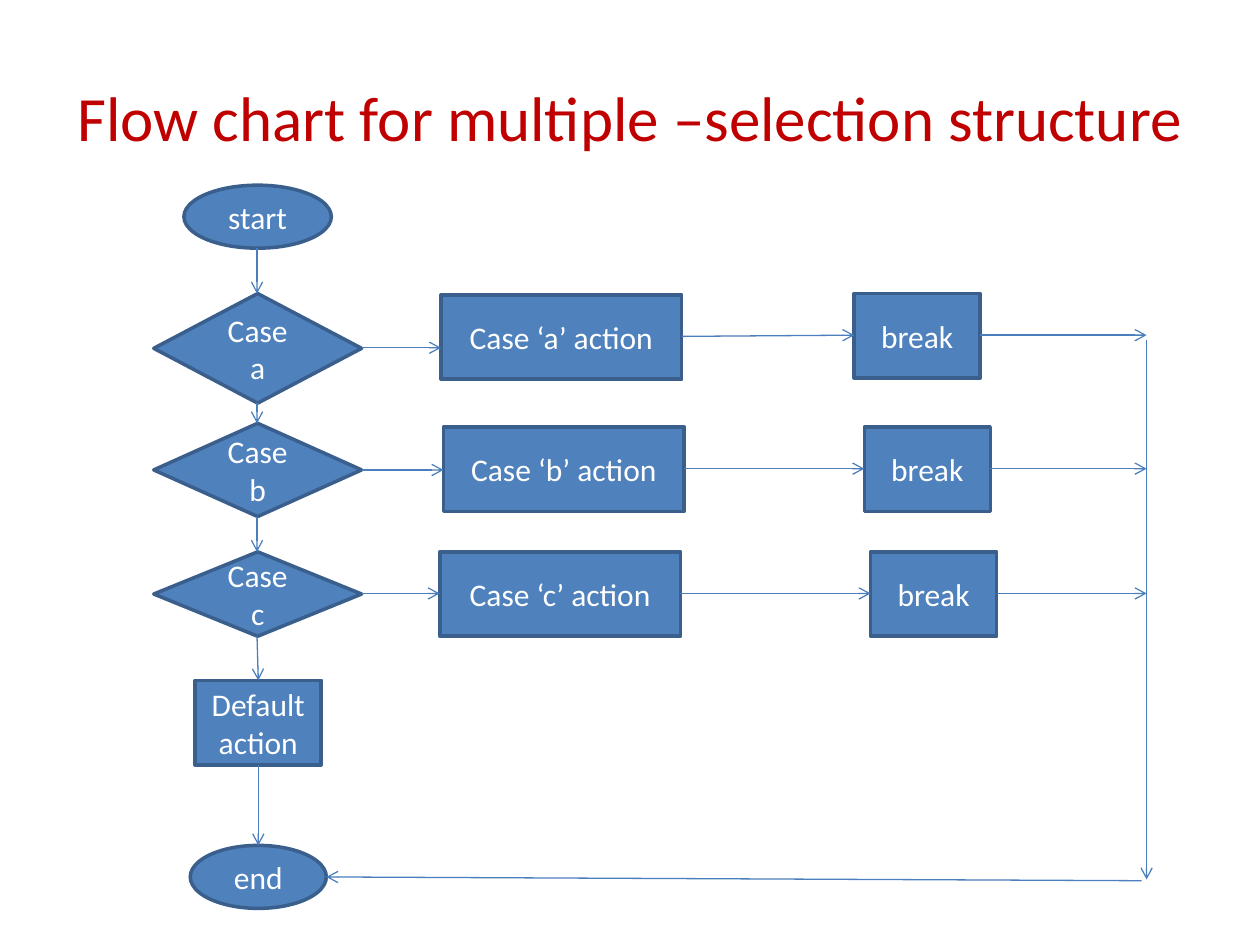
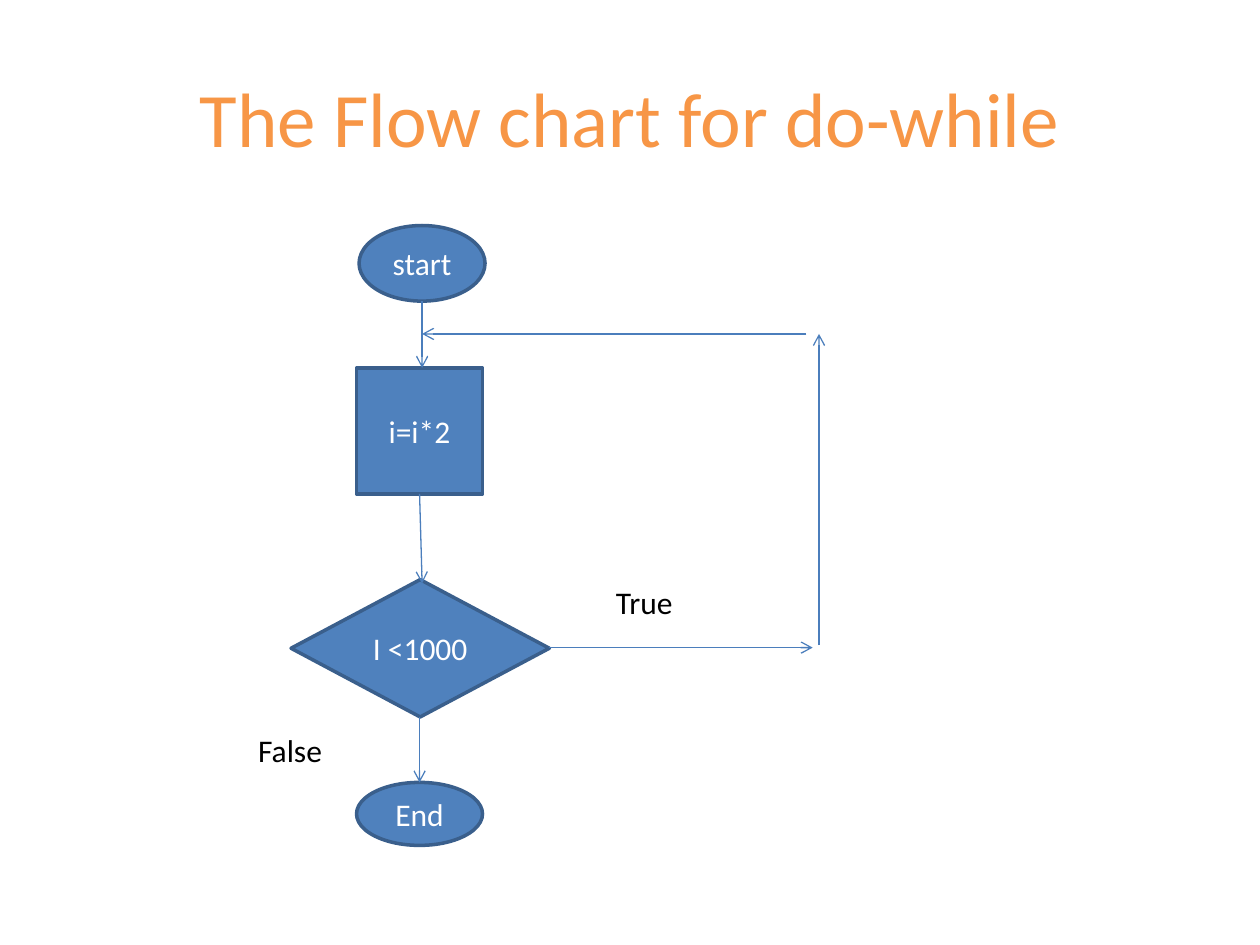
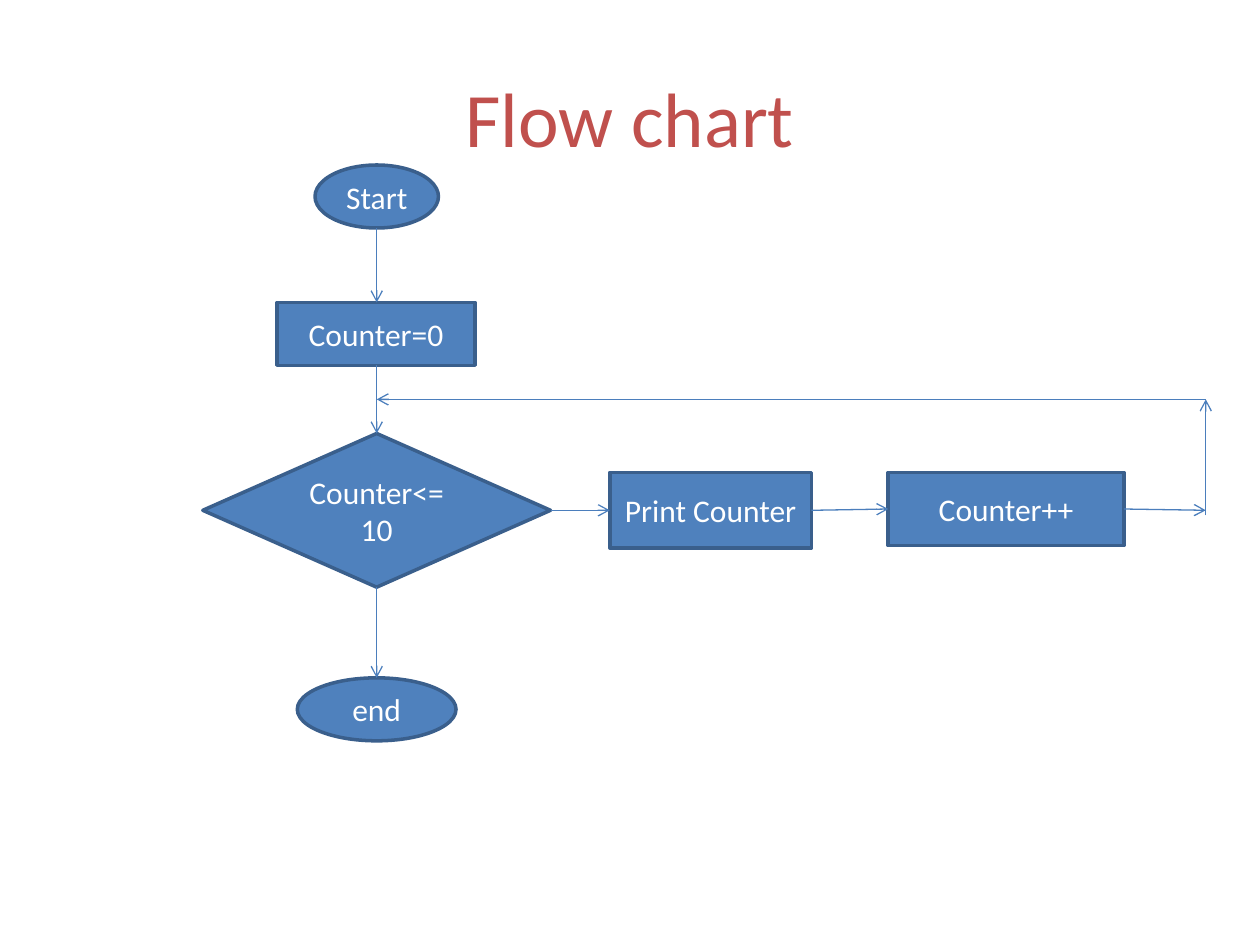
from dataclasses import dataclass

from lxml import etree
from pptx import Presentation
from pptx.dml.color import RGBColor
from pptx.enum.shapes import MSO_CONNECTOR, MSO_SHAPE
from pptx.enum.text import MSO_ANCHOR, PP_ALIGN
from pptx.oxml.ns import qn
from pptx.util import Pt

PX = 9144
FONT = "Calibri"

RED = RGBColor(0xC0, 0x00, 0x00)
ORANGE = RGBColor(0xF7, 0x96, 0x46)
BRICK = RGBColor(0xC0, 0x50, 0x4D)
BLUE = RGBColor(0x4F, 0x81, 0xBD)
OUTLINE = RGBColor(0x3A, 0x5F, 0x8C)
ARROW = RGBColor(0x4B, 0x7E, 0xBC)
WHITE = RGBColor(0xFF, 0xFF, 0xFF)
BLACK = RGBColor(0x00, 0x00, 0x00)

STRAIGHT = MSO_CONNECTOR.STRAIGHT
DECISION = MSO_SHAPE.FLOWCHART_DECISION
PROCESS = MSO_SHAPE.FLOWCHART_PROCESS
TERMINAL = MSO_SHAPE.FLOWCHART_CONNECTOR
OVAL = MSO_SHAPE.OVAL
DIAMOND = MSO_SHAPE.DIAMOND
RECTANGLE = MSO_SHAPE.RECTANGLE
MIDDLE = MSO_ANCHOR.MIDDLE
TOP = MSO_ANCHOR.TOP
CENTER = PP_ALIGN.CENTER
LEFT = PP_ALIGN.LEFT


@dataclass
class Box:
    x: int
    y: int
    width: int
    height: int

    def inside(self, x, y, width, height):
        return Box(self.x + x, self.y + y, width, height)

    def point(self, x, y):
        return self.x + x, self.y + y

    def emu(self):
        return [side * PX for side in (self.x, self.y, self.width, self.height)]

    @property
    def top(self):
        return self.point(self.width // 2, 0)

    @property
    def bottom(self):
        return self.point(self.width // 2, self.height)

    @property
    def left(self):
        return self.point(0, self.height // 2)

    @property
    def right(self):
        return self.point(self.width, self.height // 2)


TITLE_BOX = Box(50, 30, 900, 125)


def apply(target, formats):
    for name, value in formats.items():
        setattr(target, name, value)


def write(shape, text, size, color, align=CENTER, anchor=MIDDLE, wrap=True):
    frame = shape.text_frame
    apply(frame, {"word_wrap": wrap, "vertical_anchor": anchor})
    paragraph = frame.paragraphs[0]
    paragraph.alignment = align
    run = paragraph.add_run()
    run.text = text
    apply(run.font, {"name": FONT, "size": Pt(size)})
    run.font.color.rgb = color


def add_title(slide, box, text, size, color):
    write(slide.shapes.add_textbox(*box.emu()), text, size, color)


def add_label(slide, box, text):
    label = slide.shapes.add_textbox(*box.emu())
    write(label, text, 18, BLACK, LEFT, TOP, False)


def add_step(slide, box, outline, text):
    step = slide.shapes.add_shape(outline, *box.emu())
    step.shadow.inherit = False
    step.fill.solid()
    step.fill.fore_color.rgb = BLUE
    step.line.color.rgb = OUTLINE
    step.line.width = Pt(2)
    write(step, text, 18, WHITE)
    return box


def add_arrow(slide, start, end):
    ends = [place * PX for place in (*start, *end)]
    arrow = slide.shapes.add_connector(STRAIGHT, *ends)
    arrow.line.color.rgb = ARROW
    arrow.line.width = Pt(0.75)
    properties = arrow._element.spPr
    etree.SubElement(properties.find(qn("a:ln")), qn("a:tailEnd"), type="arrow")
    etree.SubElement(properties, qn("a:effectLst"))


def add_case(slide, box, letter, test_height, action_at, break_at, rail):
    test = add_step(slide, box.inside(0, 0, 165, test_height), DECISION, f"Case {letter}")
    action = add_step(slide, box.inside(*action_at, 191, 67), PROCESS,
                      f"Case ‘{letter}’ action")
    leave = add_step(slide, box.inside(*break_at, 100, 67), PROCESS, "break")
    add_arrow(slide, test.right, (action.x, test.right[1]))
    add_arrow(slide, action.right, leave.left)
    add_arrow(slide, leave.right, (rail, leave.right[1]))
    return test


def draw_switch(slide, box):
    cases = [
        ("a", 86, 87, (228, 1), (556, 0)),
        ("b", 189, 74, (230, 3), (564, 3)),
        ("c", 291, 67, (227, 0), (569, 0)),
    ]
    spine = [add_step(slide, box.inside(24, 0, 117, 50), TERMINAL, "start")]
    for letter, top, height, action_at, break_at in cases:
        row = box.inside(0, top, box.width, height)
        spine.append(add_case(slide, row, letter, height, action_at, break_at,
                              box.x + box.width))
    spine.append(add_step(slide, box.inside(33, 393, 100, 67), PROCESS, "Default action"))
    end = add_step(slide, box.inside(29, 524, 108, 50), TERMINAL, "end")
    spine.append(end)
    for upper, lower in zip(spine, spine[1:]):
        add_arrow(slide, upper.bottom, lower.top)
    add_arrow(slide, box.point(box.width, 123), box.point(box.width, 551))
    add_arrow(slide, box.point(box.width - 4, 552), end.right)


def draw_do_while(slide, box):
    start = add_step(slide, box.inside(90, 0, 100, 60), OVAL, "start")
    test = add_step(slide, box.inside(36, 281, 205, 109), DIAMOND, "I <1000")
    body = add_step(slide, box.inside(88, 113, 100, 100), RECTANGLE, "i=i*2")
    end = add_step(slide, box.inside(88, 442, 100, 50), OVAL, "End")
    add_label(slide, box.inside(284, 279, 66, 40), "True")
    add_label(slide, box.inside(0, 396, 71, 40), "False")
    arrows = [
        (test.right, (box.x + box.width - 5, test.right[1])),
        (box.point(box.width, 333), box.point(box.width, 86)),
        (box.point(box.width - 10, 86), box.point(140, 86)),
        (start.bottom, (start.bottom[0], body.y)),
        (body.bottom, box.point(140, 284)),
        (test.bottom, end.top),
    ]
    for tail, head in arrows:
        add_arrow(slide, tail, head)


def draw_counter_loop(slide, box):
    start = add_step(slide, box.inside(89, 0, 98, 50), TERMINAL, "Start")
    reset = add_step(slide, box.inside(59, 109, 157, 50), RECTANGLE, "Counter=0")
    test = add_step(slide, box.inside(0, 213, 276, 122), DECISION, "Counter<=10")
    show = add_step(slide, box.inside(323, 244, 160, 60), RECTANGLE, "Print Counter")
    increment = add_step(slide, box.inside(544, 244, 187, 58), PROCESS, "Counter++")
    end = add_step(slide, box.inside(75, 407, 126, 50), TERMINAL, "end")
    corner = box.point(box.width, 186)
    arrows = [
        (start.bottom, (start.bottom[0], reset.y)),
        ((test.top[0], reset.bottom[1]), test.top),
        (test.bottom, end.top),
        (test.right, show.left),
        (show.right, increment.left),
        (increment.right, box.point(box.width, 274)),
        (box.point(box.width, 278), corner),
        (corner, (test.top[0], corner[1])),
    ]
    for tail, head in arrows:
        add_arrow(slide, tail, head)


def main():
    deck = Presentation()
    apply(deck, {"slide_width": 1000 * PX, "slide_height": 750 * PX})
    pages = [
        ("Flow chart for multiple –selection structure", 36, RED,
         draw_switch, Box(122, 147, 788, 574)),
        ("The Flow chart for do-while", 44, ORANGE,
         draw_do_while, Box(195, 179, 455, 492)),
        ("Flow chart", 44, BRICK,
         draw_counter_loop, Box(161, 131, 796, 457)),
    ]
    for heading, size, color, draw, box in pages:
        slide = deck.slides.add_slide(deck.slide_layouts[6])
        add_title(slide, TITLE_BOX, heading, size, color)
        draw(slide, box)
    deck.save("out.pptx")


if __name__ == "__main__":
    main()
